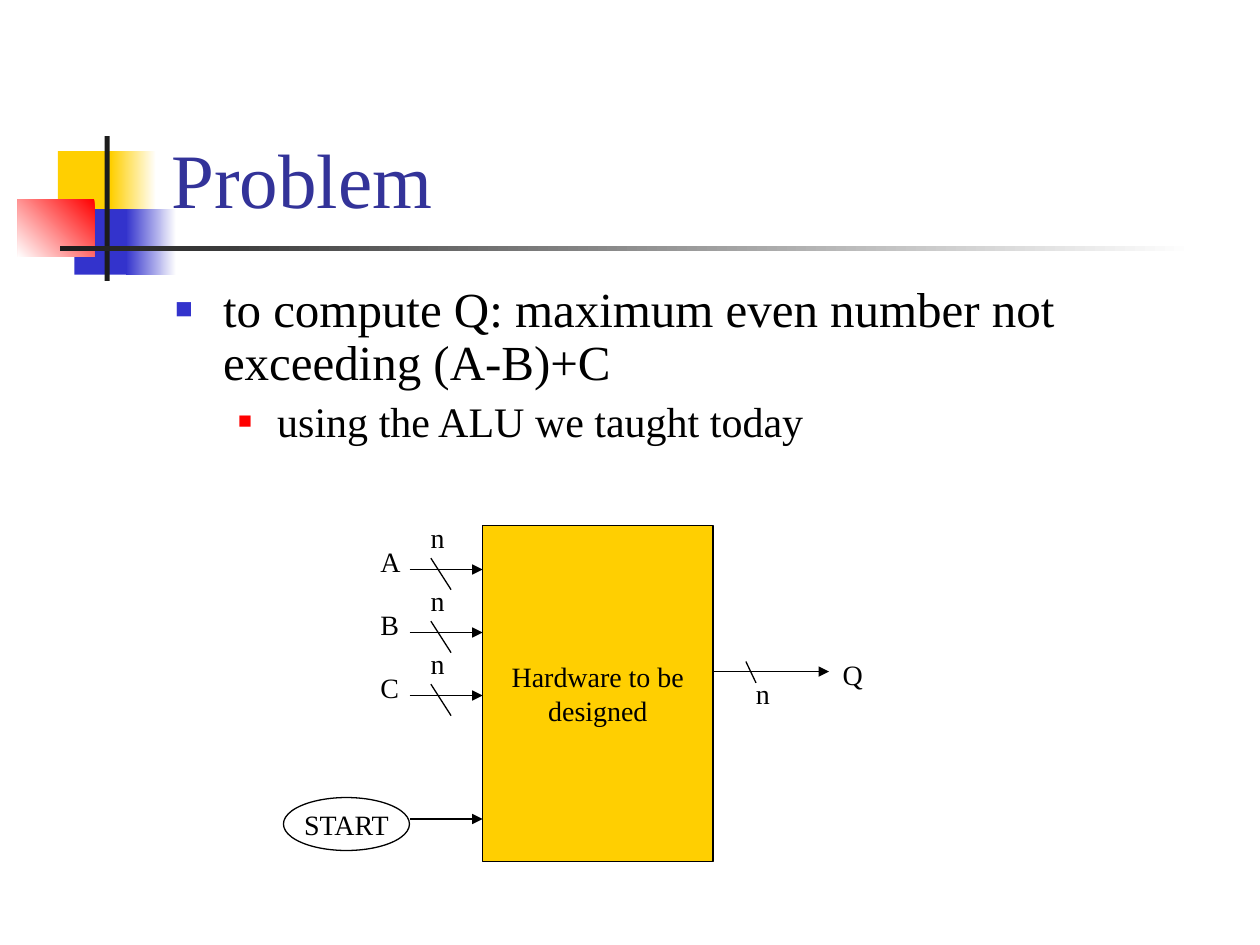
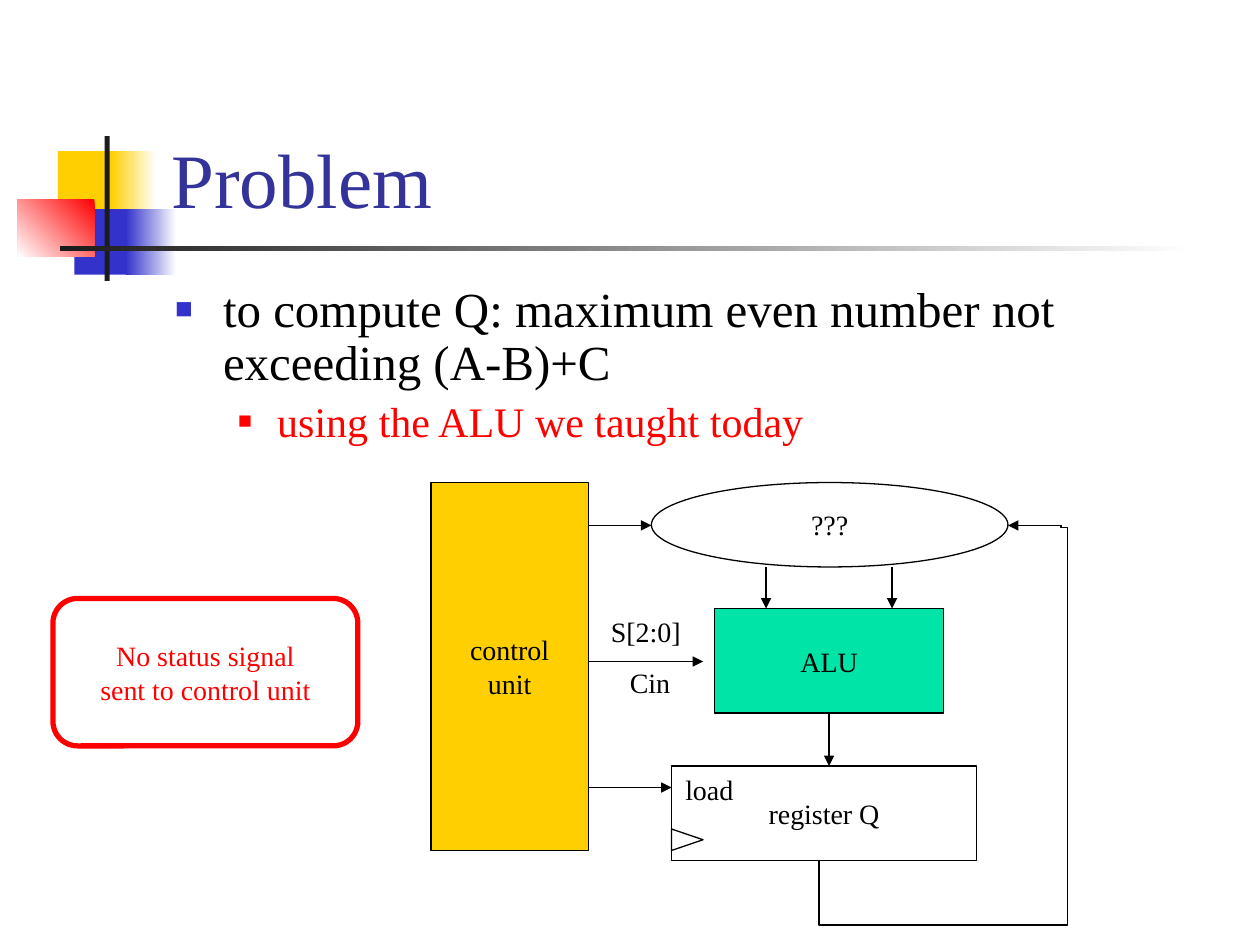
"""Build two slides that pose the hardware design problem for Q."""
import lxml.etree
import pptx
import pptx.dml.color
import pptx.enum.shapes
import pptx.enum.text
import pptx.oxml.ns
import pptx.util

Inches = pptx.util.Inches
Pt = pptx.util.Pt
qn = pptx.oxml.ns.qn
SHAPE = pptx.enum.shapes.MSO_SHAPE
CONNECTOR = pptx.enum.shapes.MSO_CONNECTOR
ANCHOR = pptx.enum.text.MSO_ANCHOR
ALIGN = pptx.enum.text.PP_ALIGN
AUTO_SIZE = pptx.enum.text.MSO_AUTO_SIZE

FONT = "Times New Roman"
BLACK, WHITE, GRAPHITE = "000000", "FFFFFF", "1C1C1C"
GOLD, BLUE, RED, GREEN, INDIGO = "FFCF01", "3333CC", "FF0000", "00E4A8", "333399"

BAND = [
    ((0.46, 1.2, 0.48, 0.52), [GOLD], 0),
    ((0.88, 1.2, 0.36, 0.52), [WHITE, GOLD], 180),
    ((0.59, 1.66, 0.46, 0.52), [BLUE], 0),
    ((1, 1.66, 0.4, 0.52), [WHITE, BLUE], 180),
    ((0.14, 1.58, 0.61, 0.46), [RED, WHITE], 225),
    ((0.83, 1.08, 0.04, 1.15), [GRAPHITE], 0),
    ((0.48, 1.95, 9, 0.04), [WHITE, GRAPHITE], 180),
]


def rgb(color):
    return pptx.dml.color.RGBColor.from_string(color)


def inches(values):
    return [Inches(value) for value in values]


def add_xml(parent, tag, **attributes):
    return lxml.etree.SubElement(parent, qn(tag), attributes)


def format_runs(paragraph, size, color):
    for run in paragraph.runs:
        run.font.name = FONT
        run.font.size = Pt(size)
        run.font.color.rgb = rgb(color)


def add_box(slide, at, text="", fill=None, line=BLACK, width=0.75,
            kind=SHAPE.RECTANGLE, color=BLACK):
    box = slide.shapes.add_shape(kind, *inches(at))
    box.shadow.inherit = False
    if fill:
        box.fill.solid()
        box.fill.fore_color.rgb = rgb(fill)
    else:
        box.fill.background()
    if line:
        box.line.color.rgb = rgb(line)
        box.line.width = Pt(width)
    else:
        box.line.fill.background()
    if text:
        frame = box.text_frame
        frame.text = text
        frame.word_wrap = False
        frame.vertical_anchor = ANCHOR.MIDDLE
        for paragraph in frame.paragraphs:
            paragraph.alignment = ALIGN.CENTER
            format_runs(paragraph, 16, color)
    return box


def add_label(slide, text, left, top, width):
    label = slide.shapes.add_textbox(*inches((left, top, width, 0.37)))
    frame = label.text_frame
    frame.text = text
    frame.word_wrap = False
    frame.auto_size = AUTO_SIZE.SHAPE_TO_FIT_TEXT
    format_runs(frame.paragraphs[0], 16, BLACK)


def add_wire(slide, start, end, arrow=False, kind=CONNECTOR.STRAIGHT):
    wire = slide.shapes.add_connector(kind, *inches(start + end))
    wire.line.color.rgb = rgb(BLACK)
    wire.line.width = Pt(0.75)
    if arrow:
        add_xml(wire.element.xpath("p:spPr/a:ln")[0], "a:tailEnd", type="triangle")
    add_xml(wire.element.xpath("p:spPr")[0], "a:effectLst")
    return wire


def add_arrow(slide, start, end):
    return add_wire(slide, start, end, arrow=True)


def add_feedback(slide):
    feedback = add_wire(slide, (8.92, 6.59), (6, 4.67), kind=CONNECTOR.ELBOW)
    feedback.element.xpath("p:spPr/a:xfrm")[0].set("rot", "5400000")
    geometry = feedback.element.xpath("p:spPr/a:prstGeom")[0]
    geometry.set("prst", "bentConnector5")
    for old_adjustments in geometry.xpath("a:avLst"):
        geometry.remove(old_adjustments)
    adjustments = add_xml(geometry, "a:avLst")
    for number, value in enumerate((-8600, 102600, 99500), 1):
        add_xml(adjustments, "a:gd", name=f"adj{number}", fmla=f"val {value}")


def add_band(slide, layout):
    for number, (at, colors, angle) in enumerate(BAND):
        tile = add_box(slide, at, fill=colors[0], line=None)
        if len(colors) == 2:
            tile.fill.gradient()
            tile.fill.gradient_angle = angle
            for stop, color in zip(tile.fill.gradient_stops, colors):
                stop.color.rgb = rgb(color)
        tile.element.xpath("p:nvSpPr/p:cNvPr")[0].set("id", str(20 + number))
        layout.shapes.element.append(tile.element)


def place(placeholder, at, anchor):
    placeholder.left, placeholder.top, placeholder.width, placeholder.height = inches(at)
    frame = placeholder.text_frame
    frame.auto_size = AUTO_SIZE.NONE
    frame.vertical_anchor = anchor
    return frame


def format_bullet(paragraph, level, margin, hang, before, size, color, bullet, percent):
    paragraph.level = level
    paragraph.line_spacing = 0.9
    paragraph.space_before = Pt(before)
    format_runs(paragraph, size, color)
    properties = paragraph._p.get_or_add_pPr()
    properties.set("marL", str(Inches(margin)))
    properties.set("indent", str(-Inches(hang)))
    add_xml(add_xml(properties, "a:buClr"), "a:srgbClr", val=bullet)
    add_xml(properties, "a:buSzPct", val=str(percent * 1000))
    add_xml(properties, "a:buFont", typeface=FONT)
    add_xml(properties, "a:buChar", char="■")


def add_problem_slide(presentation, layout, hint_color):
    slide = presentation.slides.add_slide(layout)
    title = place(slide.shapes.title, (1.26, 0.23, 8.52, 1.6), ANCHOR.BOTTOM)
    title.text = "Problem"
    title.paragraphs[0].alignment = ALIGN.LEFT
    format_runs(title.paragraphs[0], 44, INDIGO)
    body = place(slide.placeholders[1], (1.29, 2.21, 8.5, 1.46), ANCHOR.TOP)
    body.text = ("to compute Q: maximum even number not exceeding (A-B)+C\n"
                 "using the ALU we taught today")
    task, hint = body.paragraphs
    format_bullet(task, 0, 0.38, 0.38, 7, 28, BLACK, BLUE, 60)
    format_bullet(hint, 1, 0.81, 0.31, 6, 24, hint_color, RED, 55)
    return slide


def draw_interface(slide):
    add_box(slide, (3.83, 4.17, 1.83, 2.67), "Hardware to be\ndesigned", GOLD)
    for row, operand in enumerate("ABC"):
        y = 4.52 + row * 0.5
        add_arrow(slide, (3.25, y), (3.83, y))
        add_wire(slide, (3.42, y - 0.09), (3.58, y + 0.16))
        add_label(slide, "n", 3.32, y - 0.44, 0.31)
        add_label(slide, operand, 2.92, y - 0.25, 0.36)
    add_arrow(slide, (3.25, 6.5), (3.83, 6.5))
    add_box(slide, (2.25, 6.33, 1, 0.42), "START", kind=SHAPE.OVAL)
    add_arrow(slide, (5.67, 5.33), (6.58, 5.33))
    add_wire(slide, (5.92, 5.25), (6, 5.42))
    add_label(slide, "n", 5.9, 5.32, 0.31)
    add_label(slide, "Q", 6.59, 5.17, 0.36)


def draw_datapath(slide):
    add_feedback(slide)
    alu = add_box(slide, (5.67, 4.83, 1.82, 0.83), "ALU", GREEN)
    add_arrow(slide, (6.58, 5.66), (6.58, 6.08)).begin_connect(alu, 2)
    add_box(slide, (5.33, 6.08, 2.42, 0.75), "register Q")
    clock = add_box(slide, (5.37, 6.54, 0.17, 0.25), kind=SHAPE.ISOSCELES_TRIANGLE)
    clock.rotation = 90
    add_label(slide, "load", 5.34, 6.08, 0.58)
    add_wire(slide, (6.5, 6.83), (6.5, 7.1))
    for operand_x in (6.08, 7.08):
        add_arrow(slide, (operand_x, 4.5), (operand_x, 4.83))
    add_box(slide, (5.17, 3.83, 2.83, 0.67), "???", kind=SHAPE.OVAL)
    add_arrow(slide, (8.42, 4.17), (8, 4.17))
    add_box(slide, (3.42, 3.83, 1.25, 2.92), "control\nunit", GOLD)
    for control_y, target_x in ((5.25, 5.58), (6.25, 5.33), (4.17, 5.17)):
        add_arrow(slide, (4.67, control_y), (target_x, control_y))
    add_label(slide, "S[2:0]", 4.75, 4.83, 0.8)
    add_label(slide, "Cin", 4.9, 5.23, 0.52)
    add_box(slide, (0.42, 4.75, 2.42, 1.17), "No status signal\nsent to control unit",
            WHITE, RED, 3, SHAPE.ROUNDED_RECTANGLE, RED)


def main():
    presentation = pptx.Presentation()
    presentation.slide_width, presentation.slide_height = inches((10, 7.5))
    layout = presentation.slide_layouts[1]
    interface = add_problem_slide(presentation, layout, BLACK)
    add_band(interface, layout)
    draw_interface(interface)
    draw_datapath(add_problem_slide(presentation, layout, RED))
    presentation.save("out.pptx")


if __name__ == "__main__":
    main()
